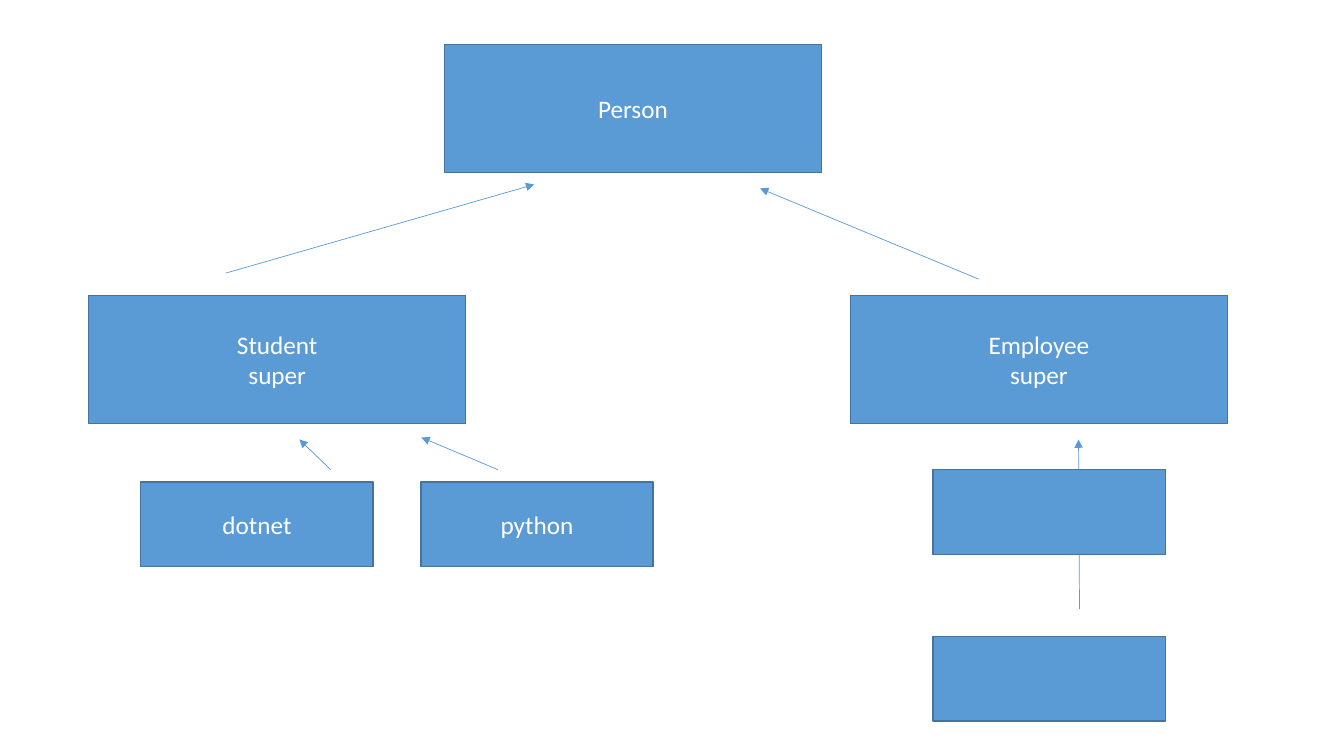
"""Build a class inheritance diagram on one slide."""
import pptx
import pptx.dml.color
import pptx.enum.shapes
import pptx.enum.text
import pptx.oxml
import pptx.oxml.ns
import pptx.util

Pt = pptx.util.Pt
CLASS_SIZE = (269.3, 91.4)
SUBCLASS_SIZE = (166, 60.5)
CLASS_Y = 211
SUBCLASS_Y = 344.2
EMPLOYEE_SUBCLASS_X = 666.5

ARROWS = [
    ((699.1, 199.4), (542.9, 134.6)),
    ((161.3, 195.1), (381.6, 131.8)),
    ((771.1, 434.9), (770.4, 313.9)),
    ((236.2, 335.5), (213.8, 313.9)),
    ((355.7, 335.5), (301, 312.5)),
]
BOXES = [
    (317.5, 31.7, CLASS_SIZE, ["Person"]),
    (607.5, CLASS_Y, CLASS_SIZE, ["Employee", "super"]),
    (63.4, CLASS_Y, CLASS_SIZE, ["Student", "super"]),
    (100.6, SUBCLASS_Y, SUBCLASS_SIZE, ["dotnet"]),
    (300.6, SUBCLASS_Y, SUBCLASS_SIZE, ["python"]),
    (EMPLOYEE_SUBCLASS_X, 335.5, SUBCLASS_SIZE, []),
    (EMPLOYEE_SUBCLASS_X, 454.5, SUBCLASS_SIZE, []),
]


def paint(fmt, color):
    if isinstance(fmt, pptx.dml.fill.FillFormat):
        fmt.solid()
        fmt = fmt.fore_color
    fmt.rgb = pptx.dml.color.RGBColor.from_string(color)


def add_box(s, x, y, size, lines):
    rect = pptx.enum.shapes.MSO_SHAPE.RECTANGLE
    sp = s.shapes.add_shape(rect, Pt(x), Pt(y), Pt(size[0]), Pt(size[1]))
    sp.shadow.inherit = False
    paint(sp.fill, "5B9BD5")
    paint(sp.line.fill, "43739E")
    sp.line.width = Pt(1)
    if not lines:
        return
    tf = sp.text_frame
    tf.word_wrap = True
    tf.vertical_anchor = pptx.enum.text.MSO_ANCHOR.MIDDLE
    tf.text = "\n".join(lines)
    for p in tf.paragraphs:
        p.alignment = pptx.enum.text.PP_ALIGN.CENTER
        p.font.name = "Calibri"
        p.font.size = Pt(18)
        paint(p.font.color, "FFFFFF")


def add_arrow(s, start, end):
    straight = pptx.enum.shapes.MSO_CONNECTOR.STRAIGHT
    sp = s.shapes.add_connector(straight, *map(Pt, start + end))
    paint(sp.line.fill, "5B9BD5")
    sp.line.width = Pt(0.5)
    ns = pptx.oxml.ns.nsdecls("a")
    ln = sp.line.fill._xPr
    ln.append(pptx.oxml.parse_xml(f'<a:tailEnd {ns} type="triangle"/>'))
    ln.getparent().append(pptx.oxml.parse_xml(f"<a:effectLst {ns}/>"))


def main():
    prs = pptx.Presentation()
    prs.slide_width, prs.slide_height = Pt(960), Pt(540)
    s = prs.slides.add_slide(prs.slide_layouts[6])
    for start, end in ARROWS:
        add_arrow(s, start, end)
    for box in BOXES:
        add_box(s, *box)
    prs.save("out.pptx")


if __name__ == "__main__":
    main()
